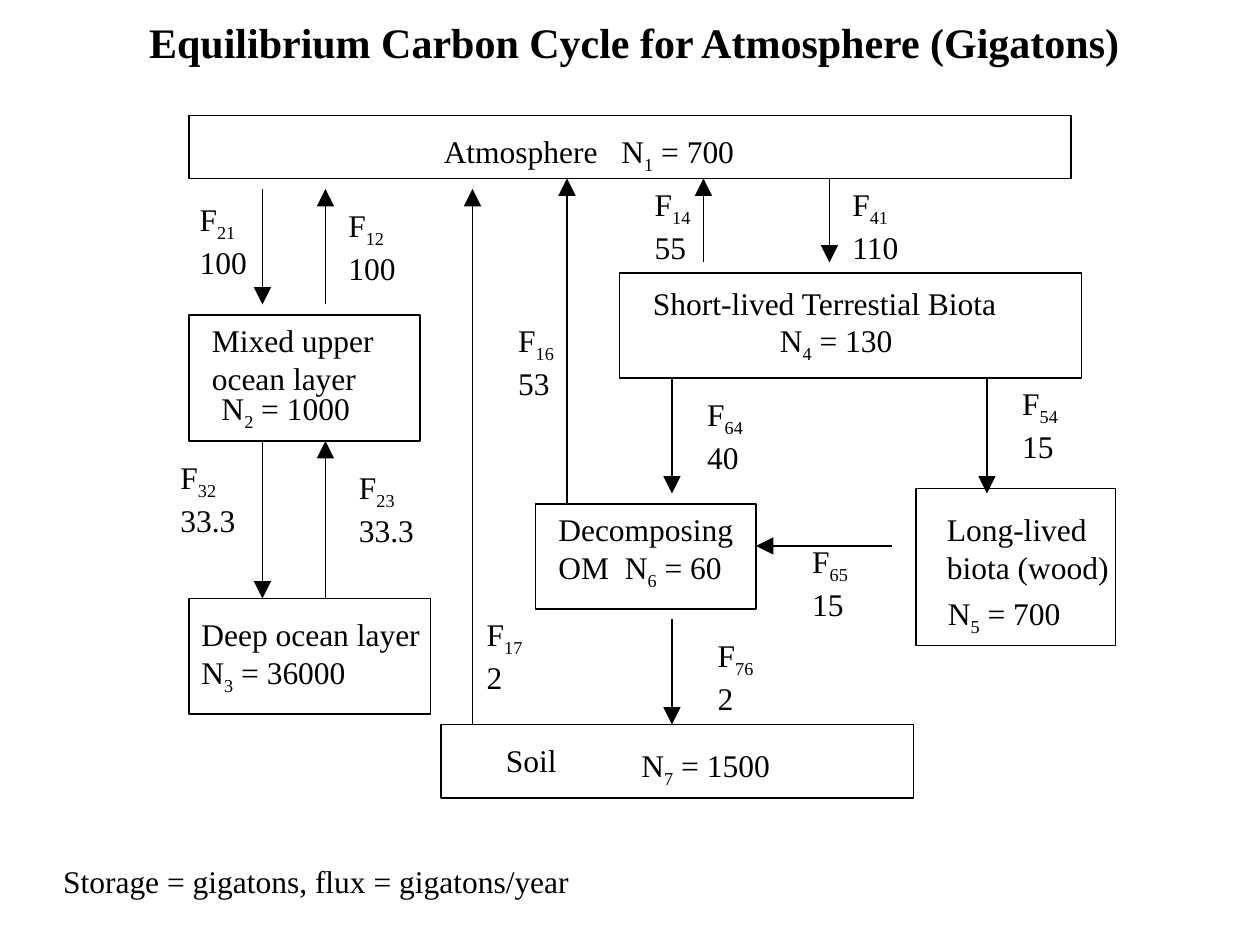
from dataclasses import dataclass

from lxml import etree
from pptx import Presentation
from pptx.dml.color import RGBColor
from pptx.enum.shapes import MSO_CONNECTOR, MSO_SHAPE
from pptx.enum.text import MSO_ANCHOR, MSO_AUTO_SIZE, PP_ALIGN
from pptx.oxml.ns import qn
from pptx.util import Pt

RECTANGLE = MSO_SHAPE.RECTANGLE
STRAIGHT = MSO_CONNECTOR.STRAIGHT
TOP = MSO_ANCHOR.TOP
LEFT = PP_ALIGN.LEFT
NO_FIT = MSO_AUTO_SIZE.NONE
FIT_SHAPE = MSO_AUTO_SIZE.SHAPE_TO_FIT_TEXT
TITLE_ONLY = 5


@dataclass(frozen=True)
class Theme:
    ink: RGBColor = RGBColor(0, 0, 0)
    font: str = "Times New Roman"
    title_size: float = 24
    body_size: float = 18
    line_width: float = 0.75


@dataclass(frozen=True)
class Box:
    left: float
    top: float
    width: float
    height: float

    def inner(self, left, top, width, height):
        return Box(self.left + left, self.top + top, width, height)

    def lengths(self):
        return Pt(self.left), Pt(self.top), Pt(self.width), Pt(self.height)


THEME = Theme()


def format_paragraph(paragraph, size, bold=False):
    paragraph.alignment = LEFT
    font = paragraph.font
    font.name = THEME.font
    font.size = Pt(size)
    font.bold = bold
    font.color.rgb = THEME.ink


def write_subscripted(paragraph, text):
    for index, part in enumerate(text.split("_")):
        if part:
            run = paragraph.add_run()
            run.text = part
            if index % 2:
                run._r.get_or_add_rPr().set("baseline", "-25000")


def add_label(slide, box, lines, tab_stop=None):
    frame = slide.shapes.add_textbox(*box.lengths()).text_frame
    frame.word_wrap = True
    frame.auto_size = FIT_SHAPE
    for index, line in enumerate(lines):
        paragraph = frame.add_paragraph() if index else frame.paragraphs[0]
        if tab_stop:
            properties = paragraph._p.get_or_add_pPr()
            tabs = etree.SubElement(properties, qn("a:tabLst"))
            etree.SubElement(tabs, qn("a:tab"), pos=str(Pt(tab_stop)), algn="l")
        write_subscripted(paragraph, line)
        format_paragraph(paragraph, THEME.body_size)


def draw_title(slide, box, text):
    title = slide.shapes.title
    title.left, title.top, title.width, title.height = box.lengths()
    frame = title.text_frame
    frame.text = text
    frame.word_wrap = True
    frame.auto_size = NO_FIT
    frame.vertical_anchor = TOP
    format_paragraph(frame.paragraphs[0], THEME.title_size, bold=True)


def draw_pool(slide, box):
    shape = slide.shapes.add_shape(RECTANGLE, *box.lengths())
    shape.shadow.inherit = False
    shape.fill.background()
    shape.line.color.rgb = THEME.ink
    shape.line.width = Pt(THEME.line_width)


def draw_flux(slide, box, name, value, start, end, label_at):
    points = [
        Pt(origin + offset)
        for point in (start, end)
        for origin, offset in zip((box.left, box.top), point)
    ]
    arrow = slide.shapes.add_connector(STRAIGHT, *points)
    arrow.line.color.rgb = THEME.ink
    arrow.line.width = Pt(THEME.line_width)
    line = arrow.line._get_or_add_ln()
    etree.SubElement(line, qn("a:tailEnd"), type="triangle", w="lg", len="lg")
    etree.SubElement(arrow._element.spPr, qn("a:effectLst"))
    width = {3: 44, 4: 49}.get(len(value), 38)
    add_label(slide, box.inner(*label_at, width, 53), [f"F_{name}_", value])


def draw_atmosphere(slide, box):
    draw_pool(slide, box)
    add_label(slide, box.inner(138.5, 6, 184, 32), ["Atmosphere\tN_1_ = 700"], 101.5)


def draw_ocean(slide, box):
    mixed = box.inner(0, 72, 132, 72)
    deep = box.inner(0, 234, 138, 66)
    for pool in (mixed, deep):
        draw_pool(slide, pool)
    add_label(slide, mixed.inner(6, 0, 138, 50), ["Mixed upper ocean layer"])
    add_label(slide, mixed.inner(11.5, 39, 92, 32), ["N_2_ = 1000"])
    add_label(slide, deep.inner(0, 6, 156, 53), ["Deep ocean layer N_3_ = 36000"])
    fluxes = [
        ("21", "100", (42, 0), (42, 66), (-1, 3)),
        ("12", "100", (78, 66), (78, 0), (84, 6)),
        ("32", "33.3", (42, 144), (42, 234), (-12, 150)),
        ("23", "33.3", (78, 234), (78, 144), (90, 156)),
    ]
    for flux in fluxes:
        draw_flux(slide, box, *flux)


def draw_land(slide, box):
    soil = box.inner(0, 312, 270, 42)
    decomposing = box.inner(54, 186, 126, 60)
    wood = box.inner(271.5, 177, 114, 90)
    biota = box.inner(102, 54, 264, 60)
    for pool in (soil, decomposing, wood, biota):
        draw_pool(slide, pool)
    add_label(slide, soil.inner(30, 6, 47, 29), ["Soil"])
    add_label(slide, soil.inner(107.5, 9, 92, 32), ["N_7_ = 1500"])
    add_label(slide, wood.inner(10.5, 9, 115, 50), ["Long-lived biota (wood)"])
    add_label(slide, wood.inner(11, 57, 82, 32), ["N_5_ = 700"])
    add_label(slide, decomposing.inner(6, 0, 144, 53), ["Decomposing OM\tN_6_ = 60"], 38)
    add_label(slide, biota.inner(12, 3, 240, 29), ["Short-lived Terrestial Biota"])
    add_label(slide, biota.inner(84.5, 24, 82, 32), ["N_4_ = 130"])
    fluxes = [
        ("17", "2", (18, 312), (18, 6), (19, 246)),
        ("16", "53", (72, 186), (72, 0), (37, 78)),
        ("14", "55", (150, 48), (150, 0), (115, 0)),
        ("41", "110", (222, 0), (222, 48), (228, 0)),
        ("54", "15", (312, 114), (312, 180), (325, 114)),
        ("64", "40", (132, 114), (132, 180), (145, 120)),
        ("65", "15", (258, 210), (180, 210), (205, 204)),
        ("76", "2", (132, 252), (132, 312), (151, 258)),
    ]
    for flux in fluxes:
        draw_flux(slide, box, *flux)


def main():
    presentation = Presentation()
    presentation.slide_width = Pt(720)
    presentation.slide_height = Pt(540)
    slide = presentation.slides.add_slide(presentation.slide_layouts[TITLE_ONLY])
    draw_title(slide, Box(78, 6, 571, 36), "Equilibrium Carbon Cycle for Atmosphere (Gigatons)")
    draw_atmosphere(slide, Box(108, 66, 504, 36))
    draw_ocean(slide, Box(108, 108, 138, 300))
    draw_land(slide, Box(252, 102, 385.5, 354))
    add_label(slide, Box(29, 489, 310, 29), ["Storage = gigatons, flux = gigatons/year"])
    presentation.save("out.pptx")


if __name__ == "__main__":
    main()
